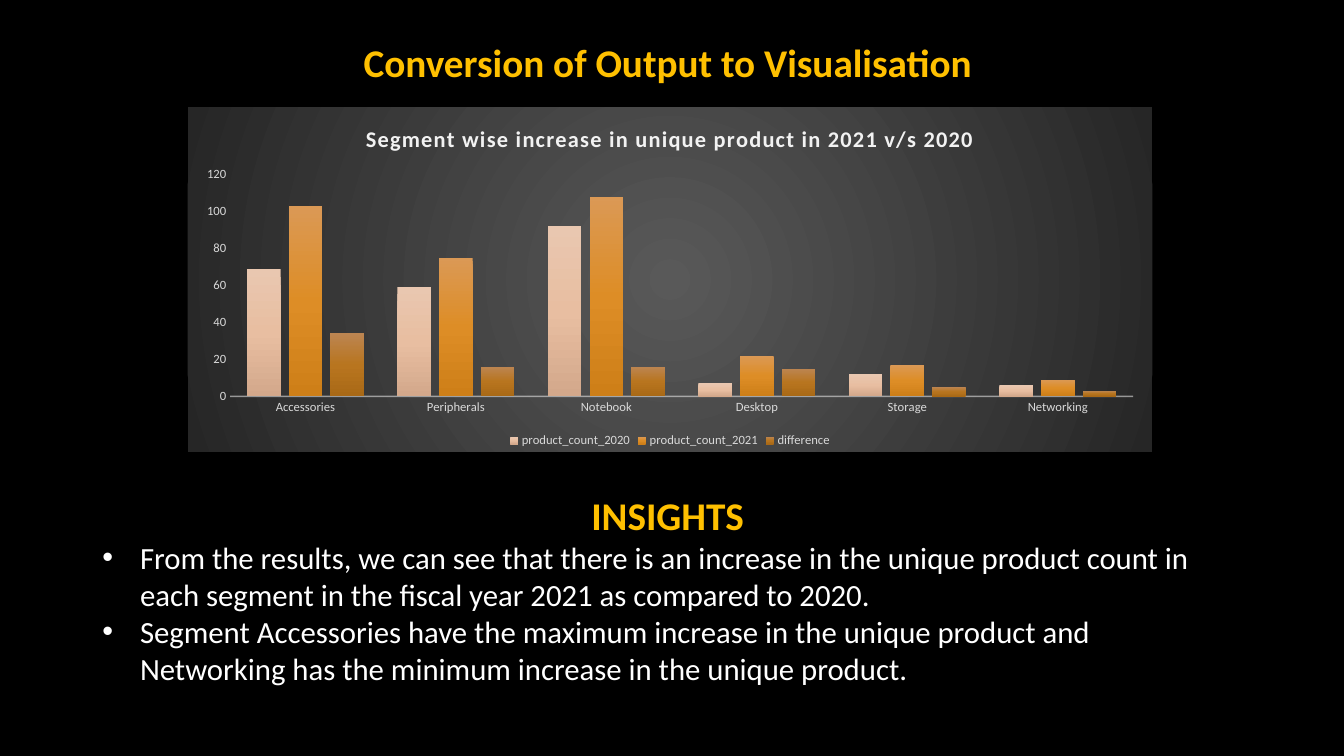
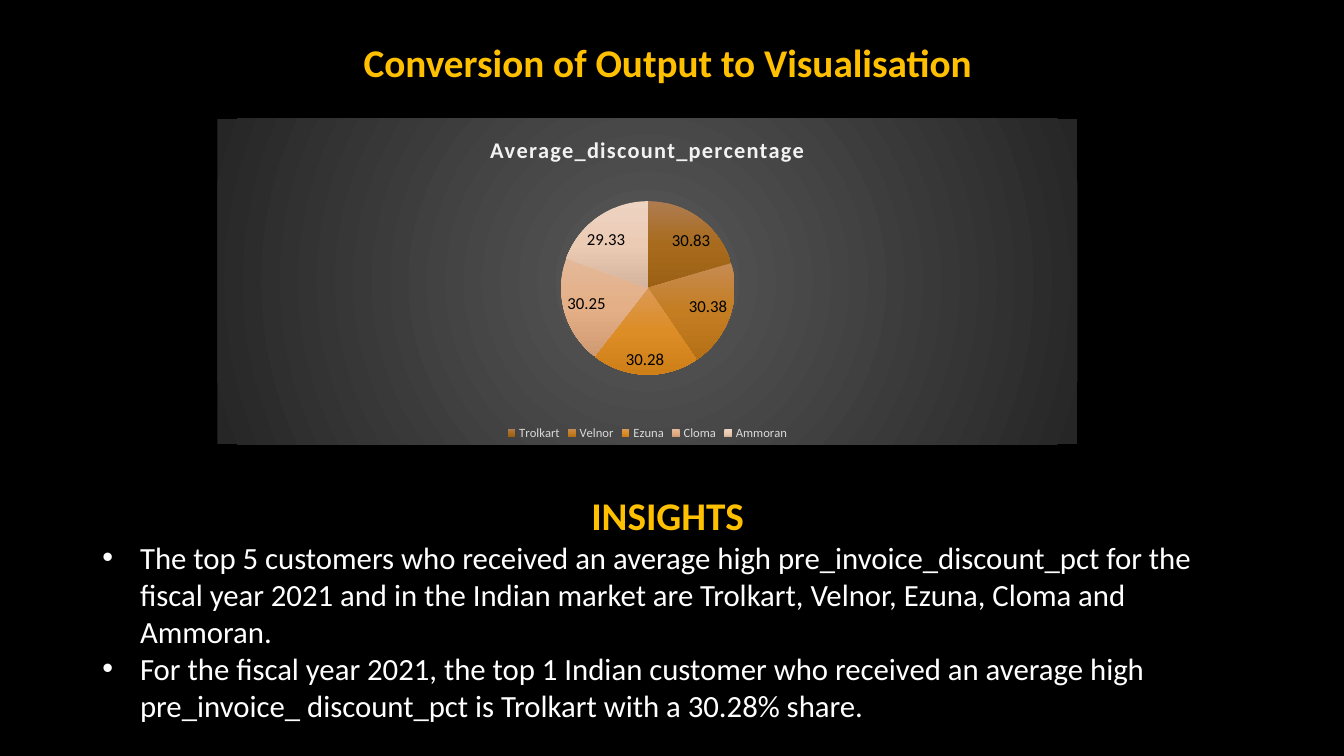
"""Builds two slides that each pair a chart with written insights."""
from lxml.etree import SubElement
from pptx import Presentation
from pptx.chart.data import CategoryChartData
from pptx.dml.color import RGBColor
from pptx.enum.chart import (XL_CHART_TYPE, XL_LABEL_POSITION,
                             XL_LEGEND_POSITION, XL_TICK_MARK)
from pptx.enum.text import MSO_ANCHOR, MSO_AUTO_SIZE, PP_ALIGN
from pptx.oxml import parse_xml
from pptx.oxml.ns import nsdecls, qn
from pptx.util import Cm, Pt

COLUMN, PIE = XL_CHART_TYPE.COLUMN_CLUSTERED, XL_CHART_TYPE.PIE
BEST, BOTTOM = XL_LABEL_POSITION.BEST_FIT, XL_LEGEND_POSITION.BOTTOM
NONE = XL_TICK_MARK.NONE
MIDDLE, GROW = MSO_ANCHOR.MIDDLE, MSO_AUTO_SIZE.SHAPE_TO_FIT_TEXT
CENTER = PP_ALIGN.CENTER

FONT = "Calibri"
BLACK, WHITE, GOLD = "000000", "FFFFFF", "FFC000"
PALE, GREY = "F2F2F2", "D9D9D9"
PANEL = ("595959", "262626")
AMBER = ("DB9955", "DD8D26", "CE7F18")
LEFT, WIDTH = 2.33, 29.21

TITLE = "Conversion of Output to Visualisation "
HEADING = "INSIGHTS "
SLIDES = [
    {
        "kind": COLUMN,
        "box": (4.73, 2.7, 24.31, 8.69),
        "title": "Segment wise increase in unique product in 2021 v/s 2020",
        "cats": ["Accessories", "Peripherals", "Notebook", "Desktop",
                 "Storage", "Networking"],
        "series": [
            ("product_count_2020", (69, 59, 92, 7, 12, 6)),
            ("product_count_2021", (103, 75, 108, 22, 17, 9)),
            ("difference", (34, 16, 16, 15, 5, 3)),
        ],
        "fills": [("E9C7B0", "E8BEA1", "D3A88B"), AMBER,
                  ("BC8551", "B8751F", "A96916")],
        "height": 5.21,
        "points": [
            "From the results, we can see that there is an increase in the "
            "unique product count in each segment in the fiscal year 2021 "
            "as compared to 2020.",
            "Segment Accessories have the maximum increase in the unique "
            "product and Networking has the minimum increase in the unique "
            "product.",
        ],
    },
    {
        "kind": PIE,
        "box": (5.48, 2.99, 21.67, 8.21),
        "title": "Average_discount_percentage",
        "cats": ["Trolkart", "Velnor", "Ezuna", "Cloma", "Ammoran"],
        "series": [("Average_discount_percentage",
                    (30.83, 30.38, 30.28, 30.25, 29.33))],
        "fills": [("AE7C50", "A86B1D", "9B6014"),
                  ("C78B52", "C47D21", "B57017"), AMBER,
                  ("E4B999", "E4AF86", "D09B72"),
                  ("EDD3C2", "ECCBB5", "D5B49D")],
        "height": 6.15,
        "points": [
            "The top 5 customers who received an average high "
            "pre_invoice_discount_pct for the fiscal year 2021 and in the "
            "Indian market are Trolkart, Velnor, Ezuna, Cloma and Ammoran.",
            "For the fiscal year 2021, the top 1 Indian customer who "
            "received an average high pre_invoice_ discount_pct is Trolkart "
            "with a 30.28% share.",
        ],
    },
]


def color(code):
    return RGBColor.from_string(code)


def style(font, size, code, bold=False):
    font.name, font.size, font.bold = FONT, Pt(size), bold
    font.color.rgb = color(code)


def blend(props, codes, round_=False):
    step = 100000 // (len(codes) - 1)
    stops = "".join(f'<a:gs pos="{i * step}"><a:srgbClr val="{code}"/></a:gs>'
                    for i, code in enumerate(codes))
    if round_:
        way = ('<a:path path="circle"><a:fillToRect l="50000" t="50000" '
               'r="50000" b="50000"/></a:path>')
    else:
        way = '<a:lin ang="5400000" scaled="0"/>'
    props.append(parse_xml(f'<a:gradFill {nsdecls("a")}><a:gsLst>{stops}'
                           f'</a:gsLst>{way}</a:gradFill>'))


def add_box(slide, top, height):
    box = slide.shapes.add_textbox(Cm(LEFT), Cm(top), Cm(WIDTH), Cm(height))
    box.text_frame.word_wrap = True
    return box.text_frame


def add_head(para, text):
    para.text = text
    para.alignment = CENTER
    style(para.runs[0].font, 28, GOLD, True)


def add_bullet(frame, text):
    para = frame.add_paragraph()
    para.text = text
    style(para.runs[0].font, 22, WHITE)
    props = para._p.get_or_add_pPr()
    props.set("marL", str(Cm(0.95)))
    props.set("indent", str(-Cm(0.95)))
    SubElement(props, qn("a:buFont")).set("typeface", "Arial")
    SubElement(props, qn("a:buChar")).set("char", "•")


def set_axes(chart):
    for axis in (chart.category_axis, chart.value_axis):
        axis.major_tick_mark = axis.minor_tick_mark = NONE
        axis.has_major_gridlines = False
        style(axis.tick_labels.font, 9, GREY)
    chart.value_axis.format.line.fill.background()
    line = chart.category_axis.format.line
    line.width = Pt(1)
    line.color.rgb = color(PALE)
    props = chart.category_axis._element.find(qn("c:spPr"))
    tint = next(props.iter(qn("a:srgbClr")))
    SubElement(tint, qn("a:alpha")).set("val", "54000")


def set_labels(plot):
    plot.has_data_labels = True
    labels = plot.data_labels
    labels.show_value = True
    labels.show_percentage = False
    labels.position = BEST
    style(labels.font, 12, BLACK)


def add_graph(slide, page):
    data = CategoryChartData()
    data.categories = page["cats"]
    for name, vals in page["series"]:
        data.add_series(name, vals)
    spot = map(Cm, page["box"])
    chart = slide.shapes.add_chart(page["kind"], *spot, data).chart
    style(chart.font, 10, WHITE)
    panel = parse_xml(f'<c:spPr {nsdecls("c", "a")}/>')
    blend(panel, PANEL, True)
    SubElement(SubElement(panel, qn("a:ln")), qn("a:noFill"))
    chart._chartSpace.find(qn("c:chart")).addnext(panel)

    chart.has_title = True
    para = chart.chart_title.text_frame.paragraphs[0]
    para.text = page["title"]
    style(para.runs[0].font, 16, PALE, True)
    para.runs[0]._r.get_or_add_rPr().set("spc", "100")
    chart.has_legend = True
    chart.legend.position = BOTTOM
    chart.legend.include_in_layout = False
    style(chart.legend.font, 9, GREY)

    plot = chart.plots[0]
    if page["kind"] == PIE:
        plot.vary_by_categories = True
        set_labels(plot)
        first = plot.series[0]._element
        parts = [first.get_or_add_dPt_for_point(i)
                 for i in range(len(page["cats"]))]
    else:
        plot.vary_by_categories = False
        plot.gap_width, plot.overlap = 100, -24
        set_axes(chart)
        parts = [series._element for series in plot.series]
    for part, codes in zip(parts, page["fills"]):
        blend(part.get_or_add_spPr(), codes)


def add_page(deck, page):
    slide = deck.slides.add_slide(deck.slide_layouts[6])
    title = add_box(slide, 0.58, 2.11)
    title.vertical_anchor = MIDDLE
    add_head(title.paragraphs[0], TITLE)
    title.paragraphs[0].line_spacing = 0.9
    frame = add_box(slide, 12.26, page["height"])
    frame.auto_size = GROW
    add_head(frame.paragraphs[0], HEADING)
    for text in page["points"]:
        add_bullet(frame, text)
    add_graph(slide, page)


def main():
    deck = Presentation()
    deck.slide_width, deck.slide_height = Cm(33.87), Cm(19.05)
    fill = deck.slide_master.background.fill
    fill.solid()
    fill.fore_color.rgb = color(BLACK)
    for page in SLIDES:
        add_page(deck, page)
    deck.save("out.pptx")


if __name__ == "__main__":
    main()
